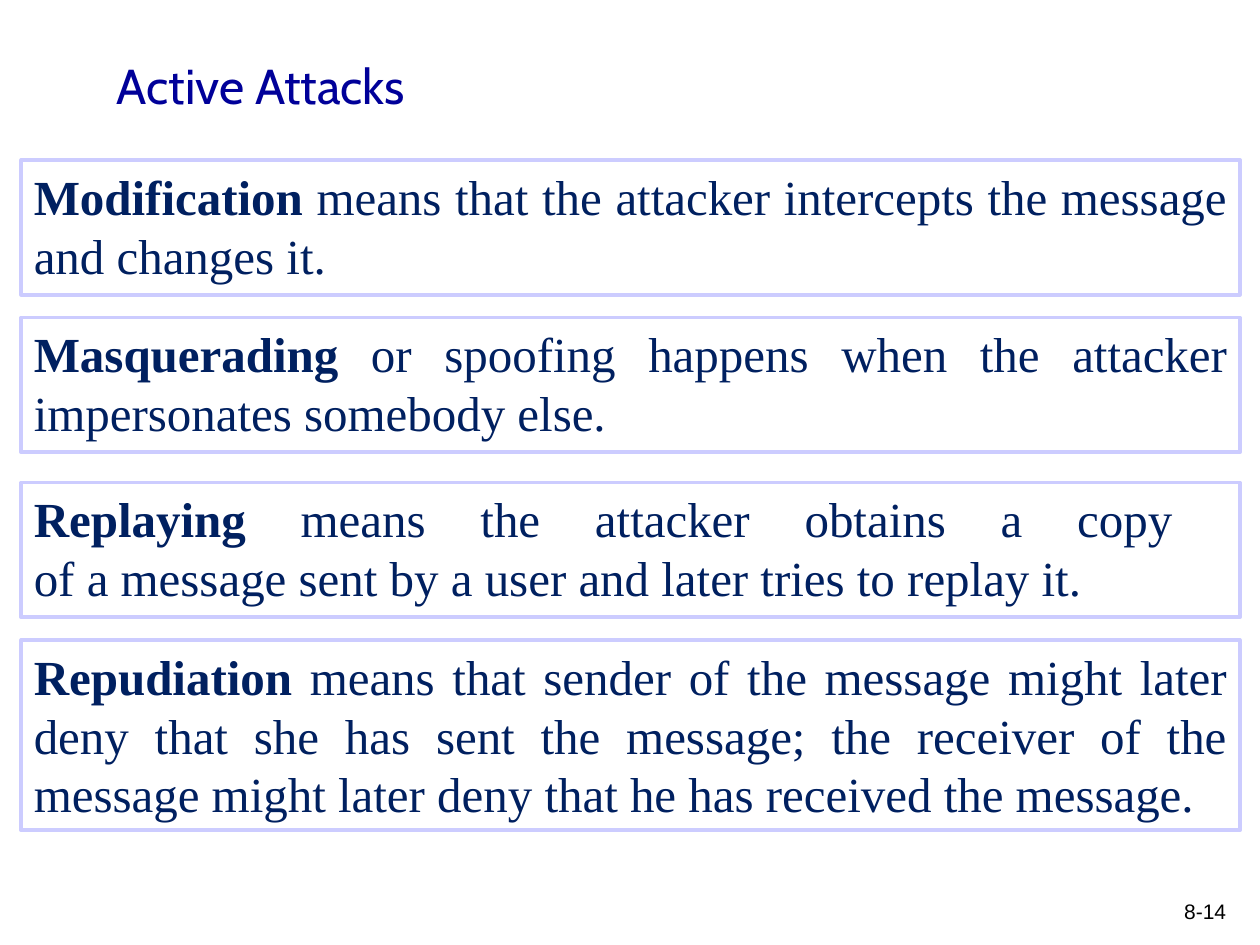
from pptx import Presentation
from pptx.dml.color import RGBColor
from pptx.enum.shapes import MSO_SHAPE as Shape
from pptx.enum.text import MSO_ANCHOR as Anchor, PP_ALIGN as Align
from pptx.util import Inches, Pt

COLORS = {"title": "000099", "body": "002060", "border": "CCCCFF", "number": "000000"}

ATTACKS = [
    (1.27, 1.07, "Modification",
     [" means that the attacker intercepts the message and changes it."]),
    (2.52, 1.07, "Masquerading",
     [" or spoofing happens when the attacker impersonates somebody else."]),
    (3.83, 1.07, "Replaying",
     [" means the attacker obtains a copy ",
      "of a message sent by a user and later tries to replay it."]),
    (5.08, 1.51, "Repudiation",
     [" means that sender of the message might later deny that she has sent the message; "
      "the receiver of the message might later deny that he has received the message."]),
]


def style(span, font, size, color, bold=False):
    span.font.name = font
    span.font.size = Pt(size)
    span.font.bold = bold
    span.font.color.rgb = RGBColor.from_string(COLORS[color])


def add_label(text, left, top, width, height, align, anchor, font, size, color):
    box = page.shapes.add_textbox(Inches(left), Inches(top), Inches(width), Inches(height))
    box.text_frame.word_wrap = True
    box.text_frame.vertical_anchor = anchor
    box.text_frame.text = text
    para = box.text_frame.paragraphs[0]
    para.alignment = align
    style(para.runs[0], font, size, color)


deck = Presentation()
deck.slide_width = Inches(10)
deck.slide_height = Inches(7.5)
page = deck.slides.add_slide(deck.slide_layouts[6])

add_label("8-14", 9.09, 7.08, 0.74, 0.33, Align.RIGHT, Anchor.TOP, "Arial", 12, "number")
add_label("Active Attacks", 0.83, 0.33, 8.29, 0.69, Align.LEFT, Anchor.MIDDLE, "Cabin", 28, "title")

for top, height, term, lines in ATTACKS:
    box = page.shapes.add_shape(
        Shape.RECTANGLE, Inches(0.17), Inches(top), Inches(9.67), Inches(height))
    box.shadow.inherit = False
    box.fill.background()
    box.line.color.rgb = RGBColor.from_string(COLORS["border"])
    box.line.width = Pt(2.25)
    box.text_frame.word_wrap = True
    box.text_frame.vertical_anchor = Anchor.TOP
    para = box.text_frame.paragraphs[0]
    para.alignment = Align.JUSTIFY
    span = para.add_run()
    span.text = term
    style(span, "Times New Roman", 28, "body", bold=True)
    for index, line in enumerate(lines):
        if index:
            para.add_line_break()
        span = para.add_run()
        span.text = line
        style(span, "Times New Roman", 28, "body")

deck.save("out.pptx")
